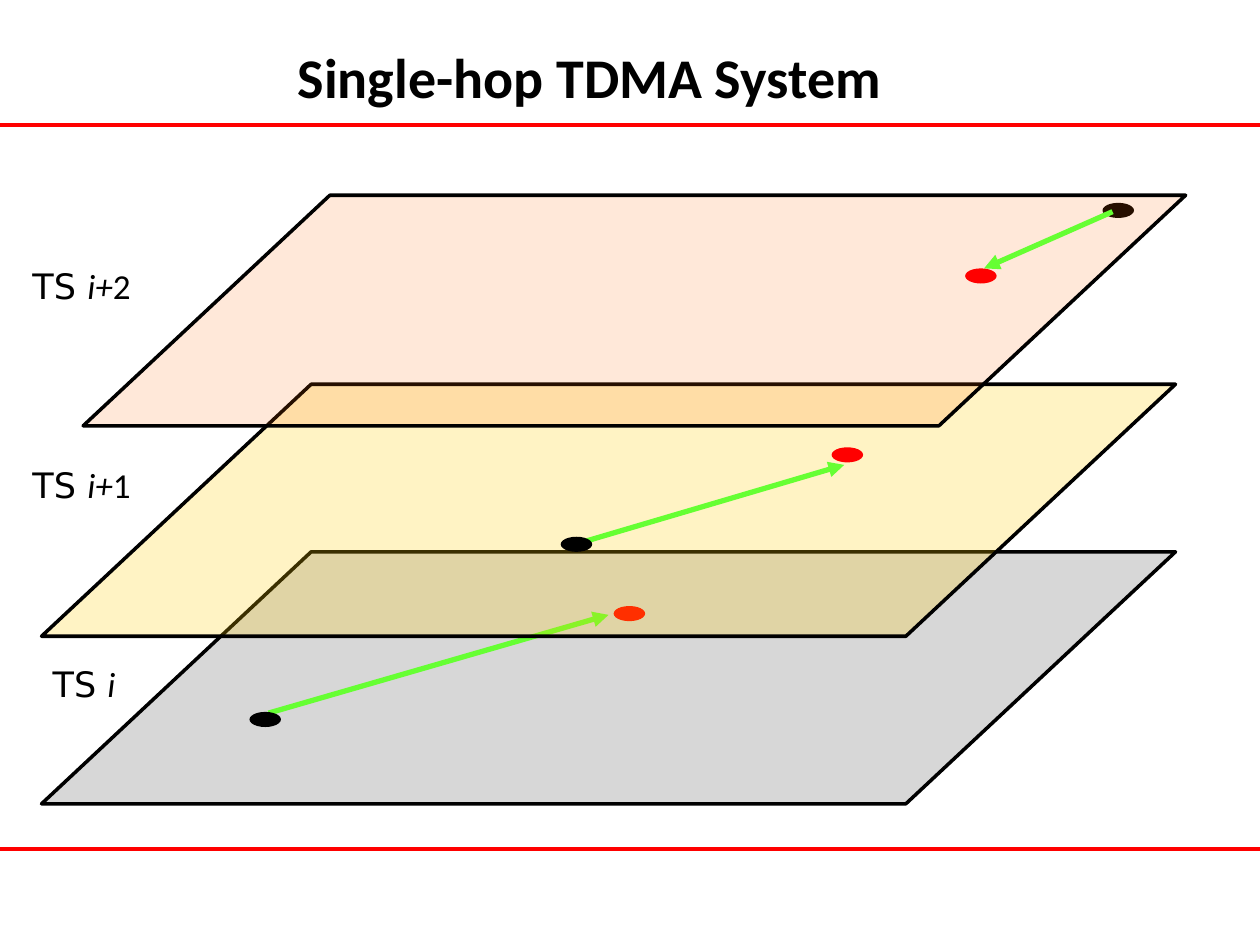
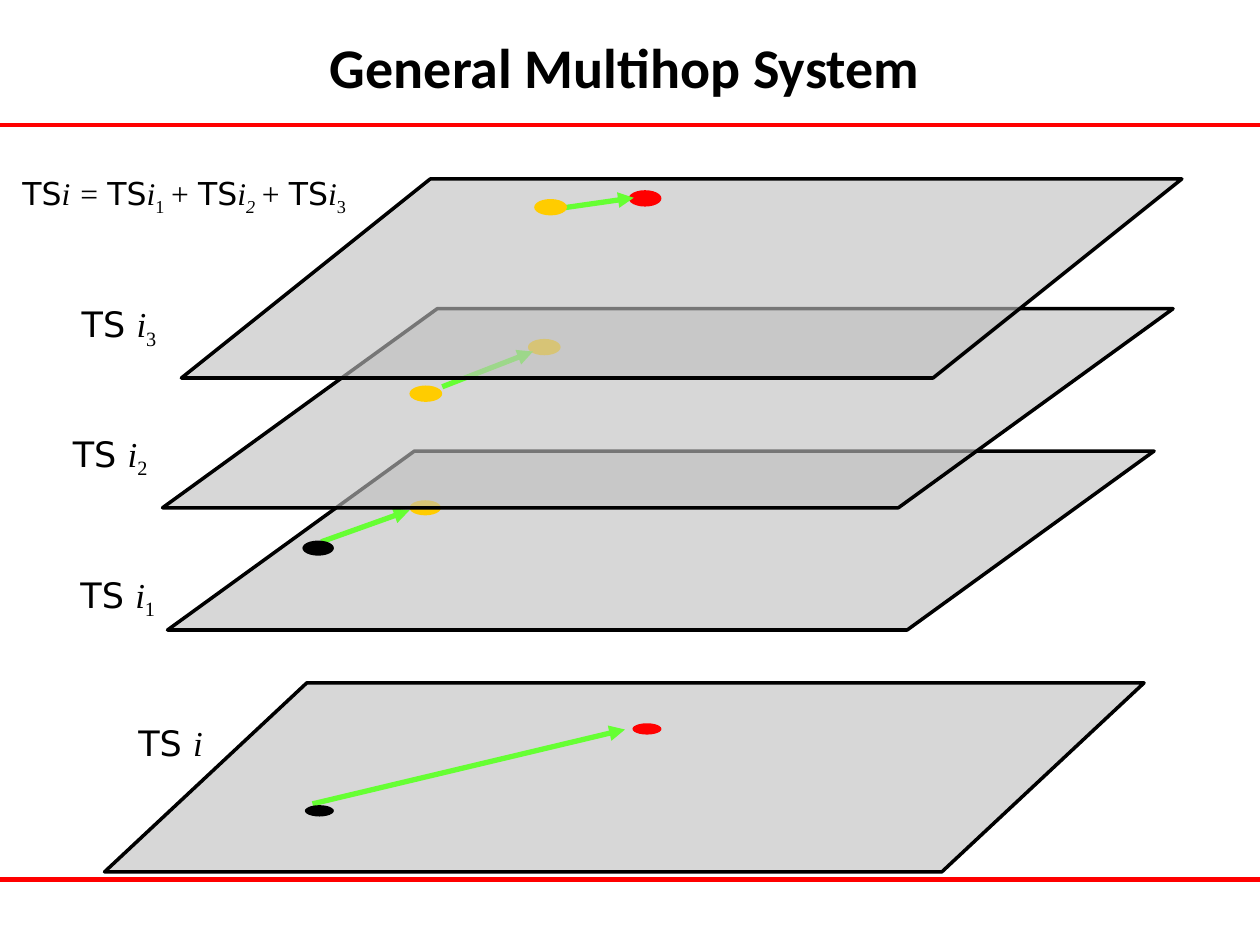
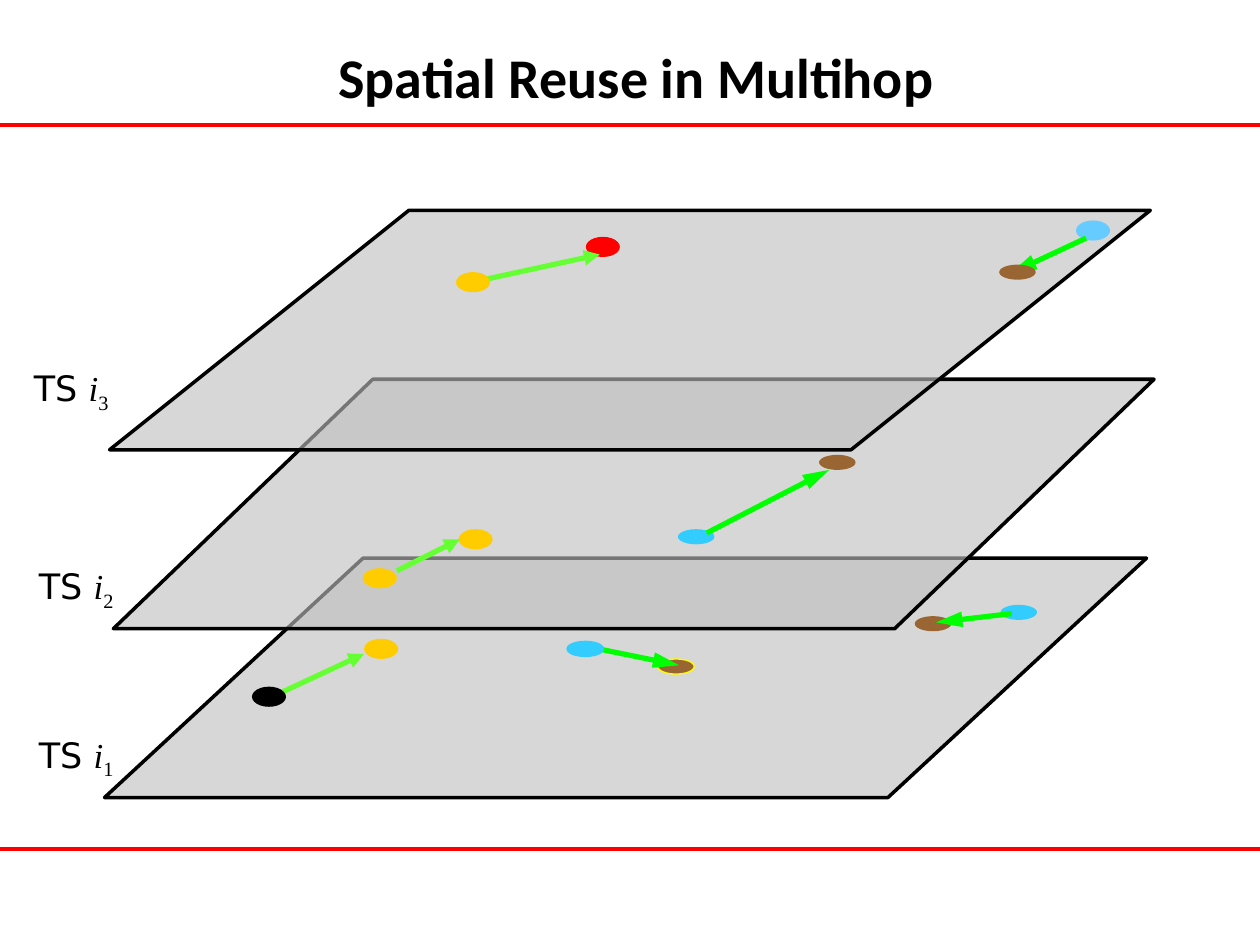
from dataclasses import dataclass

from lxml.etree import SubElement
from pptx import Presentation
from pptx.dml.color import RGBColor
from pptx.enum.shapes import MSO_CONNECTOR, MSO_SHAPE
from pptx.enum.text import MSO_ANCHOR, PP_ALIGN
from pptx.oxml.ns import qn
from pptx.util import Inches, Pt


@dataclass(frozen=True)
class Theme:
    # Colours
    black: str = "000000"
    red: str = "FF0000"
    gold: str = "FFCC00"
    brown: str = "996633"
    blue: str = "33CCFF"
    sky: str = "66CCFF"
    yellow: str = "FFFF00"
    lime: str = "66FF33"
    green: str = "00FF00"
    grey: str = "C0C0C0"
    orange: str = "FF6600"
    # Faces and type sizes
    head: str = "Calibri"
    sans: str = "DejaVu Sans"
    serif: str = "Times New Roman"
    title: int = 32
    label: int = 20
    sum: int = 18
    # Line widths
    edge: float = 2
    rule: float = 2.5
    arrow: float = 3


T = Theme()
COLS, ROWS = 100, 75
# Node sizes in columns and rows
SMALL, LOW, MID, ROUND, WIDE = (2.5, 1.2), (2.3, 0.9), (2.6, 1.3), (2.7, 1.6), (2.9, 1.2)
# Kinds of run: italic, baseline shift
KINDS = {"sans": (False, 0), "var": (True, 0), "num": (False, 0),
         "sub": (False, -25), "slant": (True, -25)}


class Deck:
    def __init__(self):
        self.show = Presentation()
        self.show.slide_width, self.show.slide_height = Inches(10), Inches(7.5)
        self.slide = None

    def grid(self, *spots):
        """Turn column, row pairs into slide lengths."""
        steps = self.show.slide_width / COLS, self.show.slide_height / ROWS
        return [round(v * steps[i % 2]) for i, v in enumerate(spots)]

    def page(self, title, box, foot=67.4):
        self.slide = self.show.slides.add_slide(self.show.slide_layouts[6])
        self.text(box, [(title, "num")], T.title, T.head, bold=True, align=PP_ALIGN.CENTER)
        for row in (9.9, foot):
            self.line((0, row, COLS, row), T.red, T.rule)

    def text(self, box, runs, size, face, bold=False, align=PP_ALIGN.LEFT):
        frame = self.slide.shapes.add_textbox(*self.grid(*box)).text_frame
        frame.word_wrap = True
        frame.vertical_anchor = MSO_ANCHOR.TOP
        para = frame.paragraphs[0]
        para.alignment = align
        para.font.size, para.font.bold = Pt(size), bold
        para.font.color.rgb = RGBColor.from_string(T.black)
        for words, kind in runs:
            run = para.add_run()
            run.text = words
            run.font.name = T.sans if kind == "sans" else face
            run.font.italic, shift = KINDS[kind]
            if shift:
                run._r.get_or_add_rPr().set("baseline", str(shift * 1000))

    def label(self, x, y, *tail, width=8.5, face=T.serif):
        self.text((x, y, width, 4.3), [("TS ", "sans"), *tail], T.label, face)

    def line(self, ends, colour, width):
        link = self.slide.shapes.add_connector(MSO_CONNECTOR.STRAIGHT, *self.grid(*ends))
        link.line.color.rgb = RGBColor.from_string(colour)
        link.line.width = Pt(width)
        SubElement(link._element.spPr, qn("a:effectLst"))
        return link

    def arrow(self, *ends, colour=T.lime, long="med"):
        link = self.line(ends, colour, T.arrow)
        SubElement(link.line._get_or_add_ln(), qn("a:tailEnd"),
                   type="triangle", w="med", len=long)

    def shape(self, kind, box, fill, edge=None, width=0.75):
        item = self.slide.shapes.add_shape(kind, *self.grid(*box))
        item.shadow.inherit = False
        item.fill.solid()
        item.fill.fore_color.rgb = RGBColor.from_string(fill)
        if edge:
            item.line.color.rgb = RGBColor.from_string(edge)
            item.line.width = Pt(width)
        else:
            item.line.fill.background()
        return item

    def plane(self, *box, skew, fill=T.grey, alpha=62):
        item = self.shape(MSO_SHAPE.PARALLELOGRAM, box, fill, T.black, T.edge)
        item.adjustments[0] = skew
        tint = item._element.spPr.find(qn("a:solidFill")).find(qn("a:srgbClr"))
        SubElement(tint, qn("a:alpha"), val=str(alpha * 1000))

    def node(self, x, y, fill, size, edge=None):
        self.shape(MSO_SHAPE.OVAL, (x, y, *size), fill, edge)


def single(deck):
    deck.page("Single-hop TDMA System", (12.2, 2.9, 69.2, 5.8))
    # Slot i
    deck.plane(3.3, 43.8, 90, 20, skew=1.07)
    deck.arrow(21.3, 56.6, 48.3, 48.8)
    deck.node(19.8, 56.5, T.black, SMALL)
    deck.node(48.7, 48.1, T.red, SMALL)
    # Slot i+1
    deck.plane(3.3, 30.5, 90, 20, skew=1.07, fill=T.gold, alpha=23)
    deck.arrow(45.3, 43.3, 67, 36.9)
    deck.node(44.5, 42.6, T.black, SMALL)
    deck.node(66, 35.5, T.red, SMALL)
    # Slot i+2
    deck.node(87.5, 16.1, T.black, SMALL)
    deck.plane(6.6, 15.5, 87.5, 18.3, skew=1.07, fill=T.orange, alpha=15)
    deck.arrow(88.3, 16.8, 78.1, 21.3)
    deck.node(76.6, 21.3, T.red, SMALL)
    # Labels
    deck.label(3.2, 52.1, ("i", "var"), width=7.4, face=T.head)
    for row, step in ((36.3, "1"), (20.5, "2")):
        deck.label(1.6, row, ("i+", "var"), (step, "num"), width=10.6, face=T.head)


def general(deck):
    deck.page("General Multihop System", (21.7, 2.1, 55.8, 6.2), foot=69.8)
    # First hop
    deck.plane(13.3, 35.8, 78.3, 14.2, skew=1.38)
    deck.arrow(25.5, 43, 32.5, 40.5)
    deck.node(24, 42.9, T.black, SMALL)
    deck.node(32.5, 39.7, T.gold, SMALL)
    # Whole slot
    deck.plane(8.3, 54.2, 82.5, 15, skew=1.07)
    deck.arrow(24.8, 63.8, 49.6, 57.9)
    deck.node(24.2, 63.9, T.black, LOW)
    deck.node(50.2, 57.4, T.red, LOW)
    deck.label(10, 56.8, ("i", "var"), width=7.4)
    # Second hop
    deck.plane(12.9, 24.5, 80.2, 15.8, skew=1.38)
    deck.node(41.9, 26.9, T.gold, MID)
    deck.arrow(35.1, 30.7, 42.3, 27.9)
    deck.node(32.5, 30.6, T.gold, MID)
    # Third hop
    deck.plane(14.4, 14.2, 79.4, 15.8, skew=1.25)
    deck.node(49.9, 15.1, T.red, MID)
    deck.arrow(43.3, 16.7, 50.3, 15.7)
    deck.node(42.4, 15.8, T.gold, MID)
    # Labels and sum
    for x, y, hop in ((5.4, 45, "1"), (4.8, 33.8, "2"), (5.5, 23.5, "3")):
        deck.label(x, y, ("i", "var"), (hop, "sub"))
    slot = [("TS", "sans"), ("i", "var")]
    plus = ("+ ", "var")
    deck.text((0.8, 13.3, 38.3, 7.1),
              [("TS", "sans"), ("i = ", "var"), *slot, ("1 ", "sub"), plus,
               *slot, ("2 ", "slant"), plus, *slot, ("3", "sub")],
              T.sum, T.serif)


def reuse(deck):
    deck.page("Spatial Reuse in Multihop", (20.1, 2.9, 60.8, 5.8))
    # First hop
    deck.plane(8.3, 44.3, 82.7, 19, skew=1.08)
    deck.arrow(21.6, 55.3, 28.9, 51.9)
    deck.node(20, 54.5, T.black, ROUND)
    deck.node(28.9, 50.7, T.gold, ROUND)
    # Second hop
    deck.plane(9, 30.1, 82.6, 19.8, skew=1.04)
    deck.node(36.4, 42, T.gold, ROUND)
    deck.arrow(31.5, 45.3, 36.5, 42.8)
    deck.node(28.8, 45.1, T.gold, ROUND)
    # Third hop
    deck.plane(8.7, 16.7, 82.6, 19, skew=1.25)
    deck.node(46.5, 18.8, T.red, ROUND)
    deck.arrow(37, 22.5, 47.6, 20.2)
    deck.node(36.2, 21.6, T.gold, ROUND)
    # Links that share the slots
    link = {"colour": T.green, "long": "lg"}
    deck.node(72.6, 48.9, T.brown, WIDE)
    deck.node(79.4, 48, T.blue, WIDE)
    deck.arrow(80.3, 48.7, 74.3, 49.4, **link)
    deck.node(52.2, 52.3, T.brown, WIDE, T.yellow)
    deck.arrow(47, 51.4, 53.9, 52.8, **link)
    deck.node(45, 50.9, T.blue, WIDE, T.blue)
    deck.node(53.8, 42, T.blue, WIDE)
    deck.node(65, 36.1, T.brown, WIDE)
    deck.arrow(56.1, 42.3, 65.8, 37.3, **link)
    deck.node(85.4, 17.5, T.sky, ROUND)
    deck.arrow(86.2, 18.9, 80.2, 21.7, **link)
    deck.node(79.3, 21, T.brown, WIDE)
    # Labels
    for x, y, hop in ((2.1, 57.7, "1"), (2.1, 44.3, "2"), (1.7, 28.6, "3")):
        deck.label(x, y, ("i", "var"), (hop, "sub"))


def main():
    deck = Deck()
    for build in (single, general, reuse):
        build(deck)
    deck.show.save("out.pptx")


if __name__ == "__main__":
    main()
